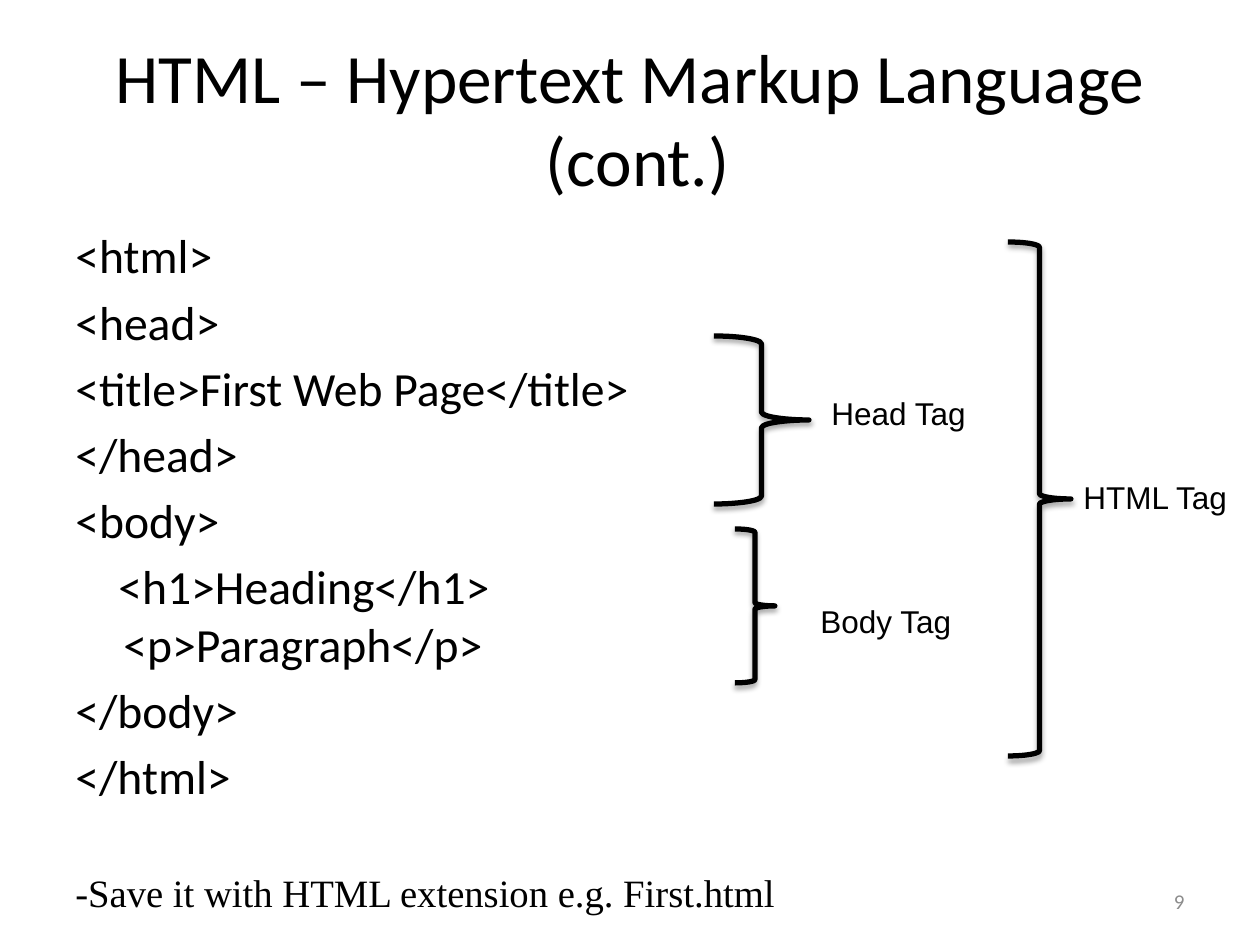
import pptx
import pptx.util
import pptx.dml.color
import pptx.enum.shapes
import pptx.enum.text
import pptx.oxml
import pptx.oxml.ns

PX = 914400 // 126
BLACK = pptx.dml.color.RGBColor(0, 0, 0)
GREY = pptx.dml.color.RGBColor(0x8C, 0x8C, 0x8C)
ALIGN = pptx.enum.text.PP_ALIGN
ANCHOR = pptx.enum.text.MSO_ANCHOR
HANG = 48  # hanging indent of the code lines

SHADOW = (
    "<a:effectLst %s>"
    '<a:outerShdw blurRad="39370" dist="22860" dir="5400000" rotWithShape="0">'
    '<a:srgbClr val="000000"><a:alpha val="35000"/></a:srgbClr>'
    "</a:outerShdw></a:effectLst>" % pptx.oxml.ns.nsdecls("a")
)

CODE = [
    "<html>",
    "<head>",
    "<title>First Web Page</title>",
    "</head>",
    "<body>",
    "<h1>Heading</h1>\v<p>Paragraph</p>",
    "</body>",
    "</html>",
]

# Brace box, label box, label
MARKS = [
    ((714, 336, 95, 168), (819, 388, 168, 50), "Head Tag"),
    ((1008, 242, 63, 514), (1071, 472, 189, 50), "HTML Tag"),
    ((735, 529, 40, 154), (808, 596, 168, 50), "Body Tag"),
]


def px(n):
    return pptx.util.Emu(n * PX)


def write(para, text, size=18, font="Arial", color=BLACK, align=ALIGN.LEFT,
          before=0, left=0, first=0):
    para.text = text
    para.alignment = align
    para.space_before = pptx.util.Pt(before)
    props = para._p.get_or_add_pPr()
    props.set("marL", str(px(left)))
    props.set("indent", str(px(first)))
    for run in para.runs:
        run.font.size = pptx.util.Pt(size)
        run.font.name = font
        run.font.color.rgb = color


def frame(slide, box, anchor=ANCHOR.TOP):
    text = slide.shapes.add_textbox(*map(px, box)).text_frame
    text.word_wrap = True
    text.vertical_anchor = anchor
    return text


def label(slide, box, text, anchor=ANCHOR.TOP, **style):
    write(frame(slide, box, anchor).paragraphs[0], text, **style)


def brace(slide, box):
    kind = pptx.enum.shapes.MSO_SHAPE.RIGHT_BRACE
    shape = slide.shapes.add_shape(kind, *map(px, box))
    shape.fill.background()
    shape.line.color.rgb = BLACK
    shape.line.width = pptx.util.Pt(3)
    shape._element.spPr.append(pptx.oxml.parse_xml(SHADOW))


def body(slide):
    text = frame(slide, (63, 220, 1134, 624))
    for i, line in enumerate(CODE):
        para = text.paragraphs[0] if i == 0 else text.add_paragraph()
        # The heading line starts four spaces in
        first = -5 if "\v" in line else -HANG
        write(para, line, size=27.2, font="Calibri", left=HANG, first=first,
              before=5.2 if i else 0)
    write(text.add_paragraph(), "-Save it with HTML extension e.g. First.html",
          size=22.1, font="Times New Roman", left=HANG, first=-HANG, before=37)


def main():
    deck = pptx.Presentation()
    deck.slide_width, deck.slide_height = px(1260), px(945)
    slide = deck.slides.add_slide(deck.slide_layouts[6])

    # Title and page number
    label(slide, (63, 38, 1134, 158),
          "HTML – Hypertext Markup Language\v (cont.)", ANCHOR.MIDDLE,
          size=39.6, font="Calibri", align=ALIGN.CENTER)
    label(slide, (903, 876, 294, 50), "9", ANCHOR.MIDDLE,
          size=12, font="Calibri", color=GREY, align=ALIGN.RIGHT)

    # Code sample
    body(slide)

    # Braces with their labels
    for span, place, name in MARKS:
        brace(slide, span)
        label(slide, place, name)

    deck.save("out.pptx")


main()
